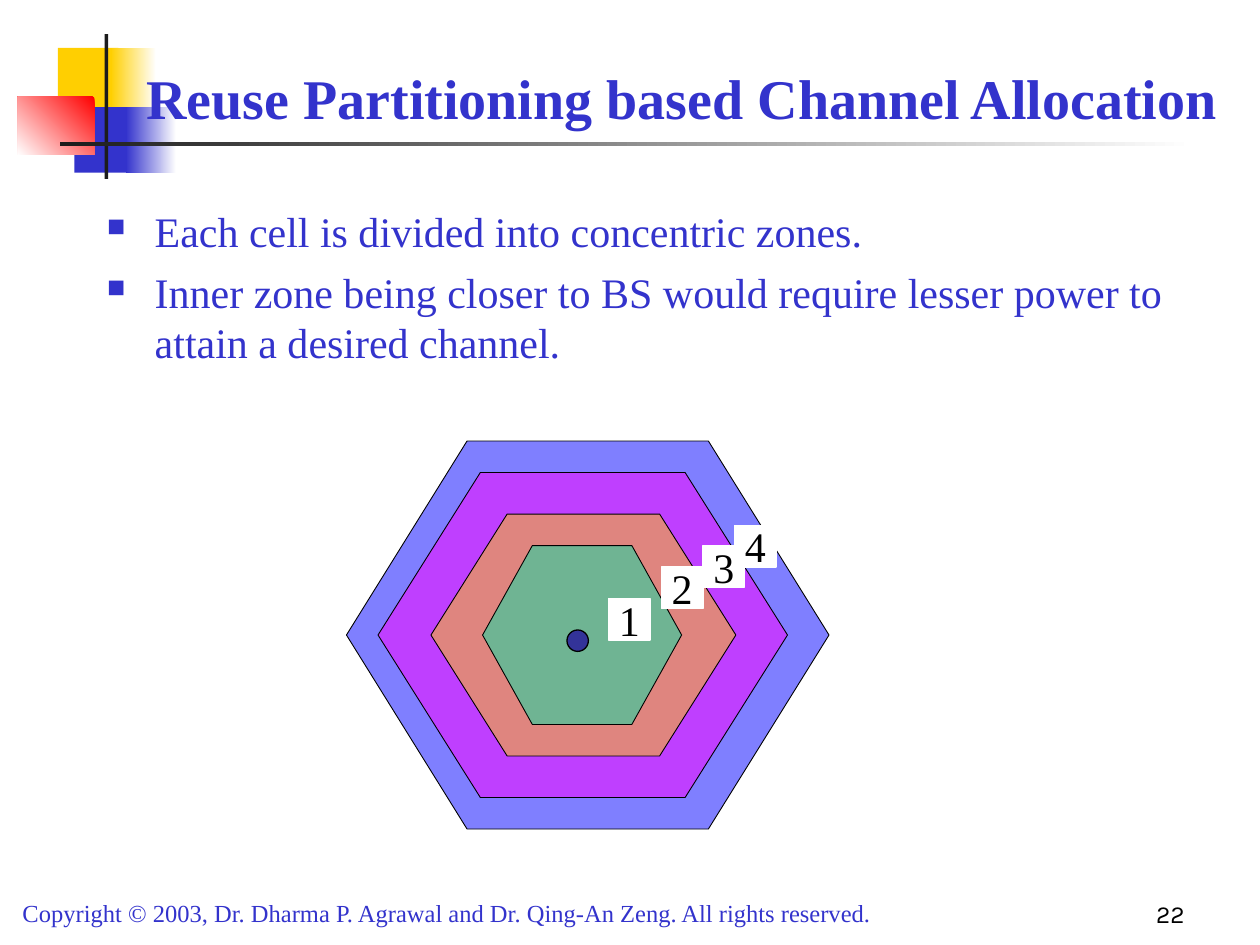
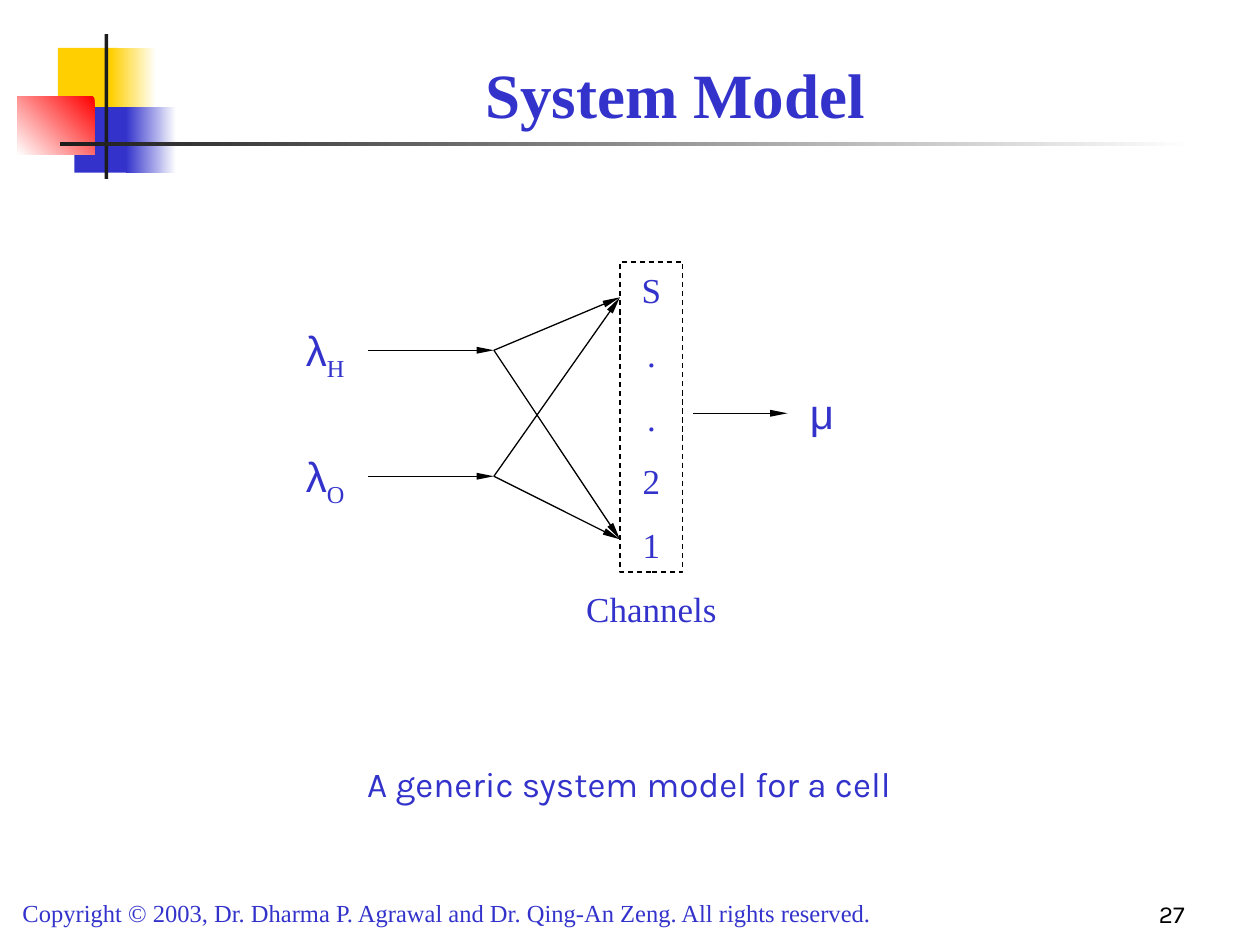
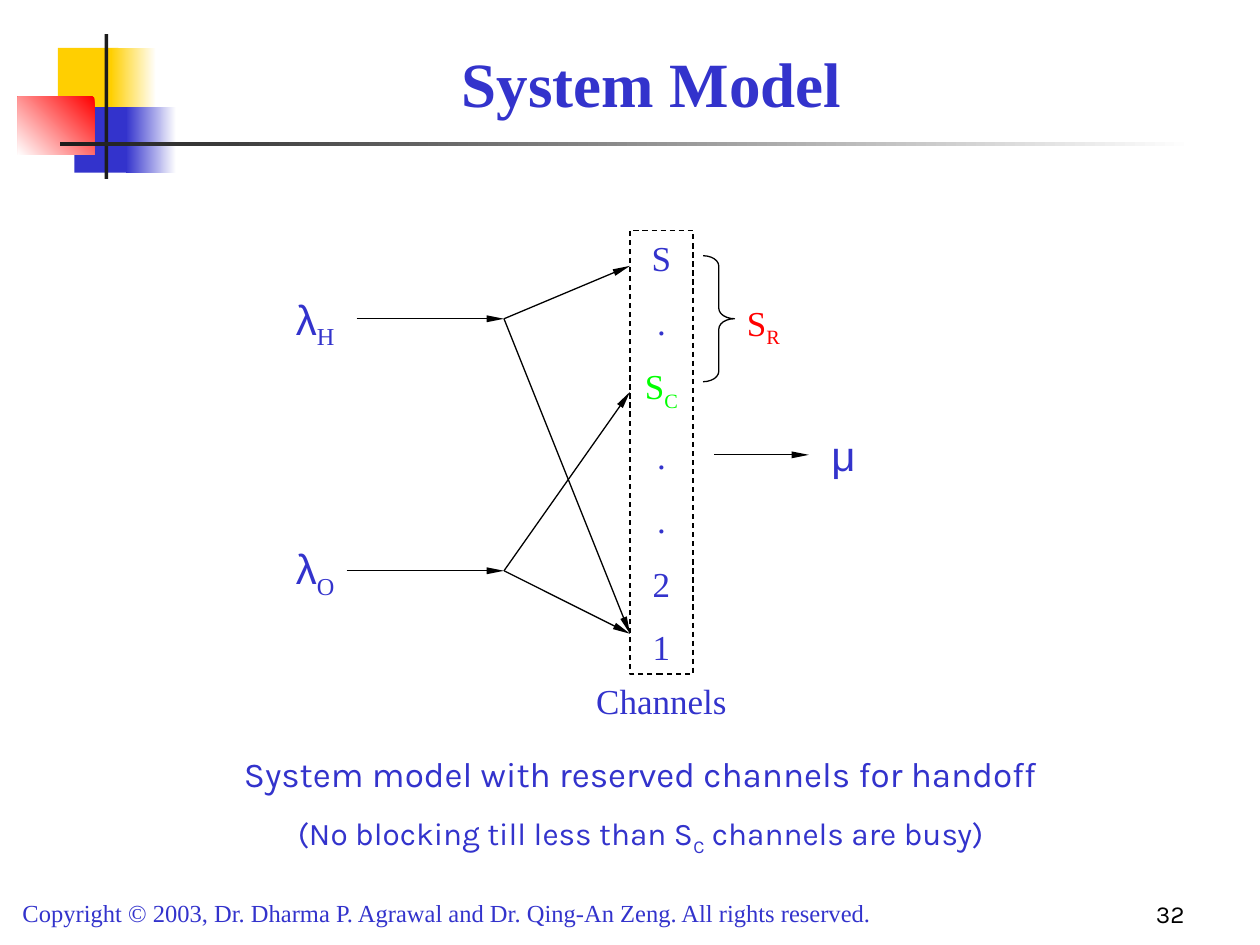
from dataclasses import dataclass
from typing import Optional

from lxml.etree import SubElement
from pptx import Presentation
from pptx.dml.color import RGBColor
from pptx.enum.dml import MSO_LINE
from pptx.enum.shapes import MSO_CONNECTOR, MSO_SHAPE
from pptx.enum.text import MSO_ANCHOR, MSO_AUTO_SIZE, PP_ALIGN
from pptx.oxml.ns import qn
from pptx.util import Inches, Pt

BLUE = RGBColor(0x33, 0x33, 0xCC)
YELLOW = RGBColor(0xFF, 0xCF, 0x01)
RED = RGBColor(0xFF, 0x00, 0x00)
GREEN = RGBColor(0x00, 0xFF, 0x00)
CHARCOAL = RGBColor(0x1C, 0x1C, 0x1C)
BLACK = RGBColor(0x00, 0x00, 0x00)
WHITE = RGBColor(0xFF, 0xFF, 0xFF)
STATION_BLUE = RGBColor(0x33, 0x33, 0x99)
ZONE_BLUE = RGBColor(0x00, 0x00, 0xFF)
ZONE_MAGENTA = RGBColor(0xFF, 0x00, 0xFF)
ZONE_GOLD = RGBColor(0xFF, 0xCC, 0x00)
ZONE_TEAL = RGBColor(0x00, 0xE4, 0xA8)

SERIF = "Times New Roman"
SANS = "Arial"
CAPTION = "Karla"
COPYRIGHT = ("Copyright © 2003, Dr. Dharma P. Agrawal and Dr. Qing-An Zeng. "
             "All rights reserved.")


@dataclass
class Piece:
    """A stretch of text; unset values come from its text box."""
    text: str
    font: Optional[str] = None
    size: Optional[float] = None
    color: Optional[RGBColor] = None
    sub: bool = False


class Deck:
    """Holds the shared style and the slide being drawn."""

    def __init__(self):
        self.prs = Presentation()
        self.prs.slide_width = Inches(10)
        self.prs.slide_height = Inches(7.5)
        self.slide = None

    def new_slide(self, title, number, title_at, title_size=36):
        self.slide = self.prs.slides.add_slide(self.prs.slide_layouts[6])
        self.decoration()
        self.text((0.08, 7.08, 7.58, 0.34), [COPYRIGHT], size=14)
        heading = self.text(title_at, [title], size=title_size,
                            align=PP_ALIGN.CENTER, anchor=MSO_ANCHOR.BOTTOM)
        heading.paragraphs[0].runs[0].font.bold = True
        self.text((7.42, 6.92, 2.08, 0.5), [str(number)], font=CAPTION, size=14,
                  color=BLACK, align=PP_ALIGN.RIGHT, anchor=MSO_ANCHOR.BOTTOM)

    def decoration(self):
        self.shape((0.46, 0.38, 0.48, 0.52), YELLOW)
        self.fade((0.88, 0.38, 0.36, 0.52), WHITE, YELLOW)
        self.shape((0.59, 0.85, 0.46, 0.52), BLUE)
        self.fade((1, 0.85, 0.4, 0.52), WHITE, BLUE)
        self.fade((0.14, 0.77, 0.61, 0.46), RED, WHITE, angle=225)
        self.shape((0.83, 0.27, 0.03, 1.15), CHARCOAL)
        self.fade((0.48, 1.13, 9, 0.03), WHITE, CHARCOAL)

    def shape(self, at, fill=None, line=None, weight=0.75, kind=MSO_SHAPE.RECTANGLE):
        shape = self.slide.shapes.add_shape(kind, *map(Inches, at))
        shape.shadow.inherit = False
        if fill is None:
            shape.fill.background()
        else:
            shape.fill.solid()
            shape.fill.fore_color.rgb = fill
        if line is None:
            shape.line.fill.background()
        else:
            shape.line.color.rgb = line
            shape.line.width = Pt(weight)
        return shape

    def fade(self, at, start, end, angle=180):
        fill = self.shape(at).fill
        fill.gradient()
        fill.gradient_angle = angle
        for stop, color in zip(fill.gradient_stops, (start, end)):
            stop.color.rgb = color

    def hexagon(self, at, color):
        """Half-transparent hexagon whose slanted sides take a quarter of its width."""
        hexagon = self.shape(at, color, BLACK, 0.5, MSO_SHAPE.HEXAGON)
        hexagon.adjustments[0] = at[2] / 4 / at[3]
        fill = hexagon.element.spPr.find(qn("a:solidFill"))
        SubElement(fill[0], qn("a:alpha"), val="50000")

    def arrow(self, start, end):
        arrow = self.slide.shapes.add_connector(
            MSO_CONNECTOR.STRAIGHT, *map(Inches, (*start, *end)))
        arrow.line.color.rgb = BLACK
        arrow.line.width = Pt(0.75)
        properties = arrow.element.spPr
        SubElement(properties.find(qn("a:ln")), qn("a:tailEnd"),
                   type="triangle", w="sm", len="lg")
        SubElement(properties, qn("a:effectLst"))

    def text(self, at, paragraphs, **style):
        box = self.slide.shapes.add_textbox(*map(Inches, at))
        return self.fill_text(box.text_frame, paragraphs, **style)

    def fill_text(self, frame, paragraphs, font=SERIF, size=20, color=BLUE,
                  align=PP_ALIGN.LEFT, anchor=MSO_ANCHOR.TOP, before=0, wrap=True):
        """Fill a frame; each paragraph is a string or a list of Pieces."""
        frame.word_wrap = wrap
        frame.auto_size = MSO_AUTO_SIZE.NONE
        frame.vertical_anchor = anchor
        for index, content in enumerate(paragraphs):
            paragraph = frame.add_paragraph() if index else frame.paragraphs[0]
            paragraph.alignment = align
            paragraph.space_before = Pt(before)
            pieces = [Piece(content)] if isinstance(content, str) else content
            for piece in pieces:
                run = paragraph.add_run()
                run.text = piece.text
                run.font.name = piece.font or font
                run.font.size = Pt(piece.size or size)
                run.font.color.rgb = piece.color or color
                if piece.sub:
                    run.font._element.set("baseline", "-25000")
        return frame

    def bullets(self, at, items):
        frame = self.text(at, items, size=24, before=6)
        for paragraph in frame.paragraphs:
            properties = paragraph._p.get_or_add_pPr()
            properties.set("marL", str(Inches(0.38)))
            properties.set("indent", str(-Inches(0.38)))
            bullet_color = SubElement(properties, qn("a:buClr"))
            SubElement(bullet_color, qn("a:srgbClr"), val=str(BLUE))
            SubElement(properties, qn("a:buSzPct"), val="60000")
            SubElement(properties, qn("a:buChar"), char="■")

    def zone_label(self, left, top, label):
        square = self.shape((left, top, 0.33, 0.33), WHITE, WHITE)
        self.fill_text(square.text_frame, [label], size=24, color=BLACK, wrap=False,
                       align=PP_ALIGN.CENTER, anchor=MSO_ANCHOR.MIDDLE)

    def channels(self, at, rows, label_top):
        """Dashed column of channels with its label below."""
        column = self.shape(at, line=BLACK)
        column.line.dash_style = MSO_LINE.DASH
        self.fill_text(column.text_frame, rows, align=PP_ALIGN.CENTER, before=12.5)
        self.text((at[0] - 0.5, label_top, 1.5, 0.44), ["Channels"],
                  align=PP_ALIGN.CENTER)

    def arrivals(self, kind, label_at, start, fork, targets):
        """Arrival rate λ whose stream forks to the target channels."""
        rate = [Piece("λ", font=SANS), Piece(kind, sub=True)]
        self.text((*label_at, 0.58, 0.56), [rate], size=24)
        self.arrow(start, fork)
        for target in targets:
            self.arrow(fork, target)

    def service(self, left, y):
        """Service rate μ at the end of the outgoing arrow."""
        self.arrow((left, y), (left + 0.75, y))
        self.text((left + 0.83, y - 0.25, 0.5, 0.5), ["μ"], font=SANS, size=24)

    def caption(self, at, lines):
        return self.text(at, lines, font=CAPTION, align=PP_ALIGN.CENTER, before=12.5)


def reuse_partitioning(deck):
    deck.new_slide("Reuse Partitioning based Channel Allocation", 22,
                   (1, 0.17, 8.83, 0.92), title_size=32)
    deck.bullets((0.75, 1.58, 8.67, 1.42), [
        "Each cell is divided into concentric zones.",
        "Inner zone being closer to BS would require lesser power to attain "
        "a desired channel.",
    ])
    zones = [
        ((2.75, 3.5, 3.83, 3.08), ZONE_BLUE),
        ((3, 3.75, 3.25, 2.58), ZONE_MAGENTA),
        ((3.42, 4.08, 2.42, 1.92), ZONE_GOLD),
        ((3.83, 4.33, 1.58, 1.42), ZONE_TEAL),
    ]
    for at, color in zones:
        deck.hexagon(at, color)
    label_spots = [(4.83, 4.75), (5.25, 4.5), (5.58, 4.33), (5.83, 4.17)]
    for zone, (left, top) in enumerate(label_spots, start=1):
        deck.zone_label(left, top, str(zone))
    deck.shape((4.5, 5, 0.17, 0.17), STATION_BLUE, BLACK, kind=MSO_SHAPE.OVAL)


def generic_model(deck):
    deck.new_slide("System Model ", 27, (1.17, 0.17, 8.5, 0.92))
    deck.channels((4.92, 2.08, 0.5, 2.46), ["S", ".", ".", "2", "1"], 4.61)
    first_and_last = [(4.92, 2.36), (4.92, 4.28)]
    for kind, y in (("H", 2.78), ("O", 3.78)):
        deck.arrivals(kind, (2.33, y - 0.25), (2.92, y), (3.92, y), first_and_last)
    deck.service(5.5, 3.28)
    deck.caption((1.33, 6, 7.33, 0.44), ["A generic system model for a cell"])


def reserved_model(deck):
    deck.new_slide("System Model", 32, (0.92, 0.08, 8.5, 0.92))
    shared_limit = [Piece("S", color=GREEN), Piece("C", color=GREEN, sub=True)]
    deck.channels((5, 1.83, 0.5, 3.52),
                  ["S", ".", shared_limit, ".", ".", "2", "1"], 5.34)
    last = (5, 5.03)
    deck.arrivals("H", (2.25, 2.28), (2.83, 2.53), (4, 2.53), [(5, 2.11), last])
    deck.arrivals("O", (2.25, 4.26), (2.75, 4.53), (4, 4.53), [(5, 3.11), last])
    deck.service(5.67, 3.61)
    reserved = deck.shape((5.58, 2.03, 0.25, 1), line=BLACK, kind=MSO_SHAPE.RIGHT_BRACE)
    reserved.adjustments[0] = 0.33
    deck.text((5.83, 2.34, 0.67, 0.48), [[Piece("S"), Piece("R", sub=True)]], color=RED)
    explanation = deck.caption((1.42, 5.92, 7.33, 0.93), [
        "System model with reserved channels for handoff",
        [Piece("(No blocking till less than S", size=18),
         Piece("C", size=18, sub=True),
         Piece(" channels are busy)", size=18)],
    ])
    explanation.paragraphs[1].space_before = Pt(11.2)


def main():
    deck = Deck()
    reuse_partitioning(deck)
    generic_model(deck)
    reserved_model(deck)
    deck.prs.save("out.pptx")


if __name__ == "__main__":
    main()
